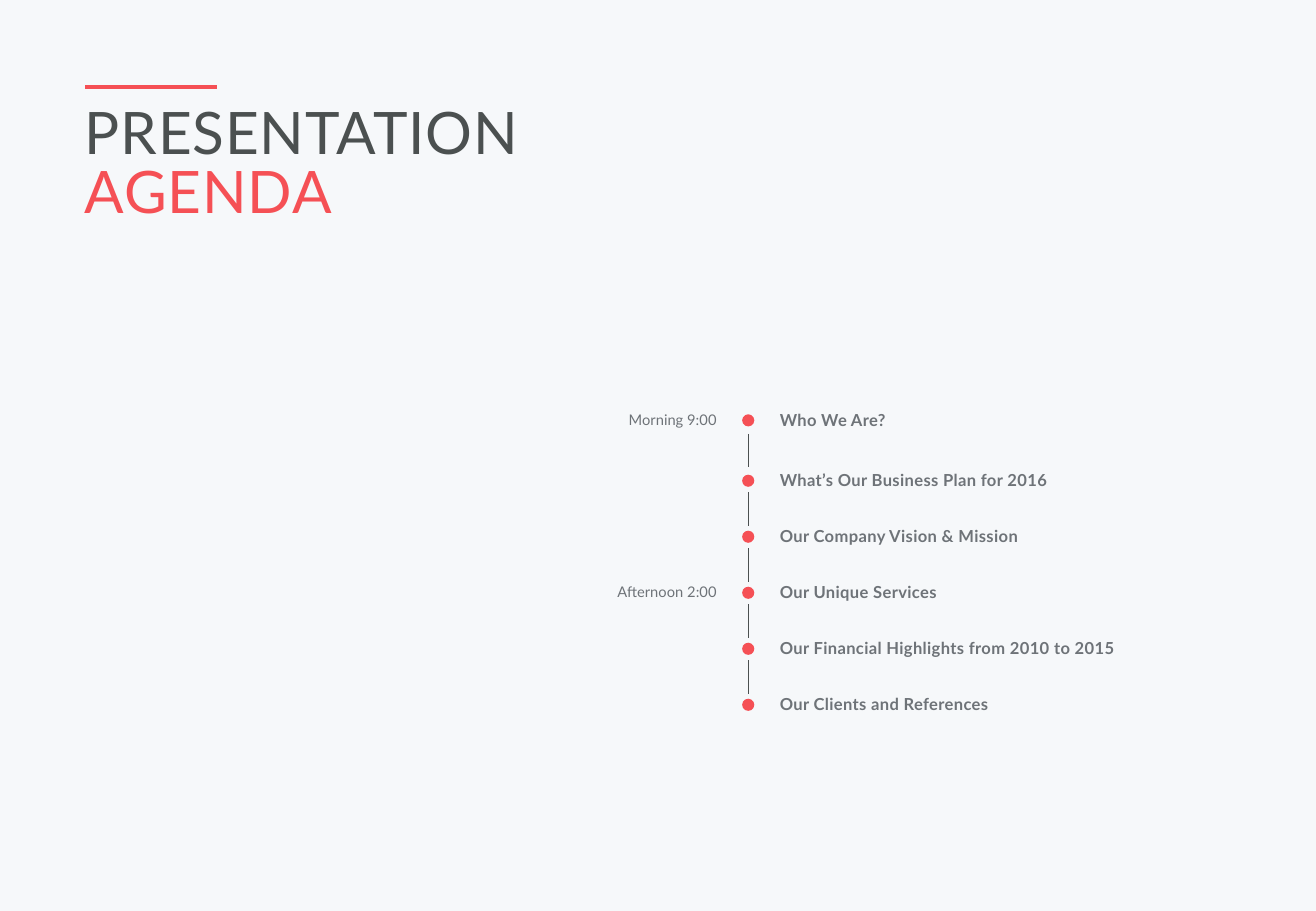
import pptx
import pptx.dml.color
import pptx.enum.shapes
import pptx.enum.text
import pptx.util
from lxml import etree

Pt = pptx.util.Pt
ALIGN = pptx.enum.text.PP_ALIGN
RED, DARK, GREY = "F55055", "4B5050", "6E7378"


def color(value):
    return pptx.dml.color.RGBColor.from_string(value)


def add_text(lines, left, top, width, height, size, colors, bold=False,
             align=ALIGN.LEFT, spacing=0, line_spacing=None):
    frame = slide.shapes.add_textbox(Pt(left), Pt(top), Pt(width), Pt(height)).text_frame
    frame.word_wrap = True
    frame.margin_left = frame.margin_right = frame.margin_top = frame.margin_bottom = 0
    for index, (line, line_color) in enumerate(zip(lines, colors)):
        paragraph = frame.add_paragraph() if index else frame.paragraphs[0]
        paragraph.alignment = align
        if line_spacing:
            paragraph.line_spacing = Pt(line_spacing)
        run = paragraph.add_run()
        run.text = line
        run.font.name = "Lato"
        run.font.size = Pt(size)
        run.font.bold = bold
        run.font.color.rgb = color(line_color)
        # Letter spacing is stored in hundredths of a point
        run.font._element.set("spc", str(round(spacing * 100)))


presentation = pptx.Presentation()
presentation.slide_width, presentation.slide_height = Pt(780), Pt(540)
slide = presentation.slides.add_slide(presentation.slide_layouts[6])
slide.background.fill.solid()
slide.background.fill.fore_color.rgb = color("F6F8FA")

# Title
add_text(["PRESENTATION", "AGENDA"], 50.4, 64.1, 679, 70.6, 34.7, [DARK, RED],
         spacing=0.5, line_spacing=34.7)

# Agenda rows: the first stands a little apart, the rest are evenly spaced
topics = ["Who We Are?", "What’s Our Business Plan for 2016",
          "Our Company Vision & Mission", "Our Unique Services",
          "Our Financial Highlights from 2010 to 2015", "Our Clients and References"]
times = {0: "Morning 9:00", 3: "Afternoon 2:00"}
centers = [249.2] + [285 + 33.2 * step for step in range(5)]
axis, dot = 443.5, 7.2
for row, (topic, center) in enumerate(zip(topics, centers)):
    add_text([topic], 462.2, center - 6.4, 267, 11.8, 9.8, [GREY], bold=True, spacing=0.2)
    if row in times:
        add_text([times[row]], 344.2, center - 5.8, 80.6, 10.5, 8.7, [GREY],
                 align=ALIGN.RIGHT)
    shape = slide.shapes.add_shape(pptx.enum.shapes.MSO_SHAPE.OVAL, Pt(axis - dot / 2),
                                   Pt(center - dot / 2), Pt(dot), Pt(dot))
    shape.shadow.inherit = False
    shape.fill.solid()
    shape.fill.fore_color.rgb = color(RED)
    shape.line.fill.background()

# Title rule, and timeline strokes centred between neighbouring dots
stroke = 19.8
lines = [(50.4, 51.8, 128.9, 51.8, RED, 2.25)]
for upper, lower in zip(centers, centers[1:]):
    middle = (upper + lower) / 2
    lines.append((axis, middle - stroke / 2, axis, middle + stroke / 2, DARK, 0.75))
for x1, y1, x2, y2, line_color, weight in lines:
    connector = slide.shapes.add_connector(pptx.enum.shapes.MSO_CONNECTOR.STRAIGHT,
                                           Pt(x1), Pt(y1), Pt(x2), Pt(y2))
    connector.line.color.rgb = color(line_color)
    connector.line.width = Pt(weight)
    etree.SubElement(connector._element.spPr, pptx.oxml.ns.qn("a:effectLst"))

presentation.save("out.pptx")
